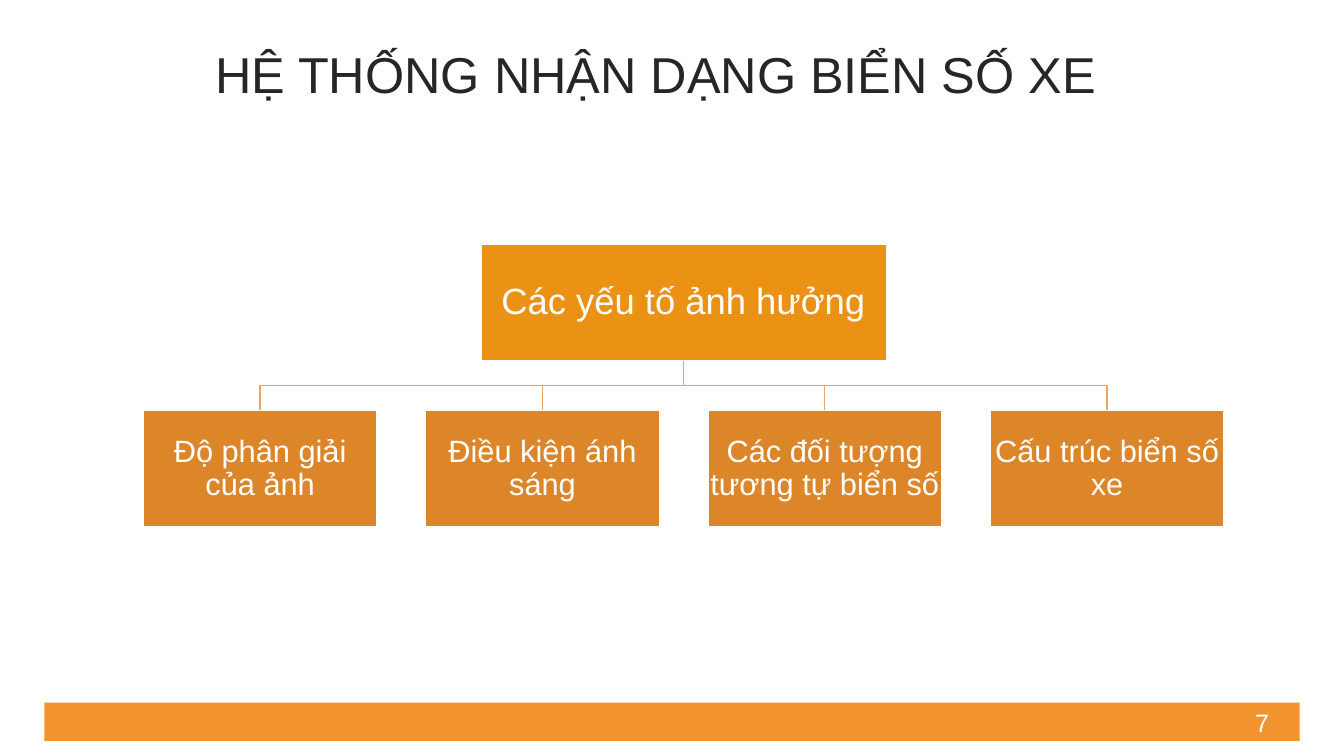
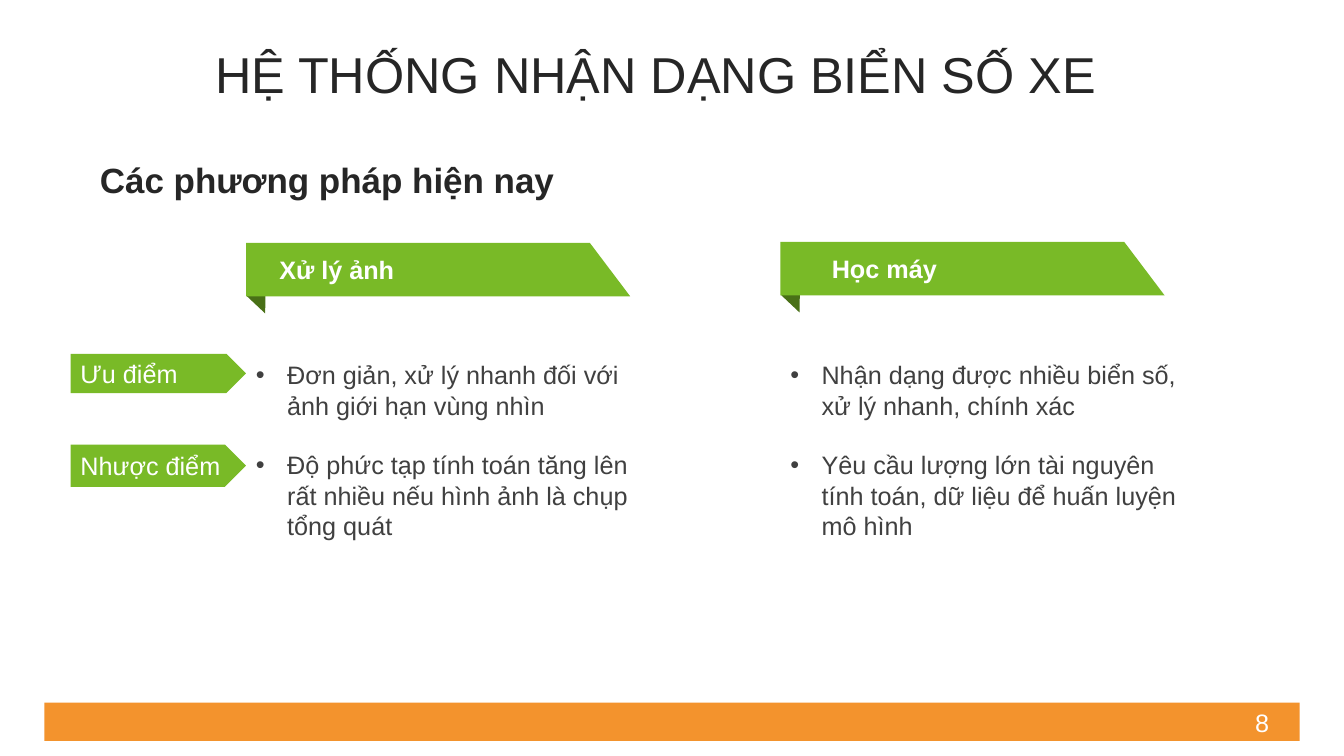
from dataclasses import dataclass

from lxml.etree import SubElement
from pptx import Presentation
from pptx.dml.color import RGBColor
from pptx.enum.shapes import MSO_SHAPE
from pptx.enum.text import MSO_ANCHOR, MSO_AUTO_SIZE, PP_ALIGN
from pptx.oxml.ns import qn
from pptx.util import Inches, Pt


@dataclass(frozen=True)
class Theme:
    font: str = "Arial"
    band: str = "F3932D"
    root: str = "EB9214"
    factor: str = "DD8529"
    branch: str = "F4A264"
    green: str = "79BA27"
    fold: str = "497017"
    white: str = "FFFFFF"
    heading: str = "262626"
    body: str = "404040"
    title_size: int = 36
    root_size: int = 26
    subtitle_size: int = 25
    factor_size: int = 22
    body_size: int = 18


THEME = Theme()
TITLE = "HỆ THỐNG NHẬN DẠNG BIỂN SỐ XE"

ROOT = "Các yếu tố ảnh hưởng"
FACTORS = [
    "Độ phân giải của ảnh",
    "Điều kiện ánh sáng",
    "Các đối tượng tương tự biển số",
    "Cấu trúc biển số xe",
]

SUBTITLE = "Các phương pháp hiện nay"
# Name, ribbon top, indent of the name, strengths and weaknesses
METHODS = [
    ("Xử lý ảnh", 2.41, 0.21, [
        "Đơn giản, xử lý nhanh đối với ảnh giới hạn vùng nhìn",
        "Độ phức tạp tính toán tăng lên rất nhiều nếu hình ảnh là chụp tổng quát",
    ]),
    ("Học máy", 2.40, 0.39, [
        "Nhận dạng được nhiều biển số, xử lý nhanh, chính xác",
        "Yêu cầu lượng lớn tài nguyên tính toán, dữ liệu để huấn luyện mô hình",
    ]),
]
# Text, top, height
ROW_TAGS = [("Ưu điểm", 3.51, 0.39), ("Nhược điểm", 4.41, 0.42)]


# Text
def add_run(paragraph, text, size, color, bold=False):
    run = paragraph.add_run()
    run.text = text
    run.font.name = THEME.font
    run.font.size = Pt(size)
    run.font.bold = bold
    run.font.color.rgb = RGBColor.from_string(color)


def set_frame(frame, anchor=MSO_ANCHOR.MIDDLE, inset=0.1, wrap=True):
    frame.word_wrap = wrap
    frame.auto_size = MSO_AUTO_SIZE.NONE
    frame.vertical_anchor = anchor
    frame.margin_left = frame.margin_right = Inches(inset)
    frame.margin_top = frame.margin_bottom = Inches(min(inset, 0.05))


def add_text(slide, box, text, size, color, bold=False, **frame_style):
    frame = slide.shapes.add_textbox(*map(Inches, box)).text_frame
    set_frame(frame, **frame_style)
    add_run(frame.paragraphs[0], text, size, color, bold)


def add_bullets(slide, box, items):
    frame = slide.shapes.add_textbox(*map(Inches, box)).text_frame
    set_frame(frame, anchor=MSO_ANCHOR.TOP)
    for index, item in enumerate(items):
        paragraph = frame.add_paragraph() if index else frame.paragraphs[0]
        paragraph.space_before = Pt(21 if index else 0)
        add_run(paragraph, item, THEME.body_size, THEME.body)
        properties = paragraph._p.get_or_add_pPr()
        properties.set("marL", str(Inches(0.31)))
        properties.set("indent", str(-Inches(0.31)))
        SubElement(properties, qn("a:buFont")).set("typeface", THEME.font)
        SubElement(properties, qn("a:buChar")).set("char", "•")


# Shapes and lines
def paint(shape, fill=None, outline=None):
    shape.shadow.inherit = False
    if fill:
        shape.fill.solid()
        shape.fill.fore_color.rgb = RGBColor.from_string(fill)
    else:
        shape.fill.background()
    if outline:
        shape.line.color.rgb = RGBColor.from_string(outline)
        shape.line.width = Pt(1)
    else:
        shape.line.fill.background()


def add_block(slide, kind, box, fill, outline=None):
    block = slide.shapes.add_shape(kind, *map(Inches, box))
    paint(block, fill, outline)
    return block


def add_outline(slide, points, fill=None, outline=None):
    corners = [(Inches(x), Inches(y)) for x, y in points]
    builder = slide.shapes.build_freeform(*corners[0])
    builder.add_line_segments(corners[1:], close=fill is not None)
    paint(builder.convert_to_shape(), fill, outline)


def add_node(slide, box, text, size, fill):
    node = add_block(slide, MSO_SHAPE.RECTANGLE, box, fill, THEME.white)
    set_frame(node.text_frame, inset=0.02)
    paragraph = node.text_frame.paragraphs[0]
    paragraph.alignment = PP_ALIGN.CENTER
    paragraph.line_spacing = 0.9
    add_run(paragraph, text, size, THEME.white)


def add_ribbon(slide, left, top):
    width, height, slant = 3.81, 0.53, 0.4
    base = top + height
    add_outline(slide, [(left + 0.2, top + 0.03), (left + 0.01, top + 0.02),
                        (left + 0.01, base), (left + 0.19, base + 0.17)],
                THEME.fold)
    add_outline(slide, [(left, top), (left + width - slant, top),
                        (left + width, base), (left, base)], THEME.green)


def add_tag(slide, box, text):
    tag = add_block(slide, MSO_SHAPE.PENTAGON, box, THEME.green)
    set_frame(tag.text_frame)
    paragraph = tag.text_frame.paragraphs[0]
    paragraph.alignment = PP_ALIGN.LEFT
    add_run(paragraph, text, THEME.body_size, THEME.white)


# Title, footer band and page number shared by the slides
def add_page(deck, number):
    slide = deck.slides.add_slide(deck.slide_layouts[5])
    title = slide.shapes.title
    title.left, title.top, title.width, title.height = map(
        Inches, (0, 0.37, 13.01, 0.79))
    set_frame(title.text_frame)
    paragraph = title.text_frame.paragraphs[0]
    paragraph.alignment = PP_ALIGN.CENTER
    paragraph.line_spacing = 0.9
    paragraph.space_before = Pt(10)
    add_run(paragraph, TITLE, THEME.title_size, THEME.heading)
    add_block(slide, MSO_SHAPE.RECTANGLE, (0.44, 6.97, 12.45, 0.38), THEME.band)
    add_text(slide, (12.35, 6.97, 0.34, 0.4), str(number), THEME.body_size,
             THEME.white, anchor=MSO_ANCHOR.TOP, wrap=False)
    return slide


def build_factors(deck):
    slide = add_page(deck, 7)
    height, root_top, root_width = 1.16, 2.42, 4.02
    factor_top, factor_width, first_left, pitch = 4.07, 2.32, 1.42, 2.8
    lefts = [first_left + pitch * index for index in range(len(FACTORS))]
    centers = [left + factor_width / 2 for left in lefts]
    middle = (centers[0] + centers[-1]) / 2
    root_base = root_top + height
    bus = (root_base + factor_top) / 2

    # Branches from the root to each factor
    for center in reversed(centers):
        add_outline(slide, [(middle, root_base), (middle, bus),
                            (center, bus), (center, factor_top)],
                    outline=THEME.branch)

    # Nodes
    add_node(slide, (middle - root_width / 2, root_top, root_width, height),
             ROOT, THEME.root_size, THEME.root)
    for left, factor in zip(lefts, FACTORS):
        add_node(slide, (left, factor_top, factor_width, height),
                 factor, THEME.factor_size, THEME.factor)


def build_methods(deck):
    slide = add_page(deck, 8)
    add_text(slide, (0.87, 1.52, 6.15, 0.52), SUBTITLE, THEME.subtitle_size,
             THEME.heading, bold=True, anchor=MSO_ANCHOR.TOP, inset=0.12)

    # One column for each method
    for index, (name, top, indent, points) in enumerate(METHODS):
        left = 2.44 + 5.3 * index
        add_ribbon(slide, left, top)
        add_text(slide, (left + indent, top - 0.01, 2.89, 0.54), name,
                 THEME.body_size, THEME.white, bold=True, inset=0.12)
        add_bullets(slide, (left, 3.52, 4.19, 1.92), points)

    # Row tags
    for text, top, height in ROW_TAGS:
        add_tag(slide, (0.7, top, 1.74, height), text)


def main():
    deck = Presentation()
    deck.slide_width, deck.slide_height = Inches(13.33), Inches(7.5)
    build_factors(deck)
    build_methods(deck)
    deck.save("out.pptx")


if __name__ == "__main__":
    main()
